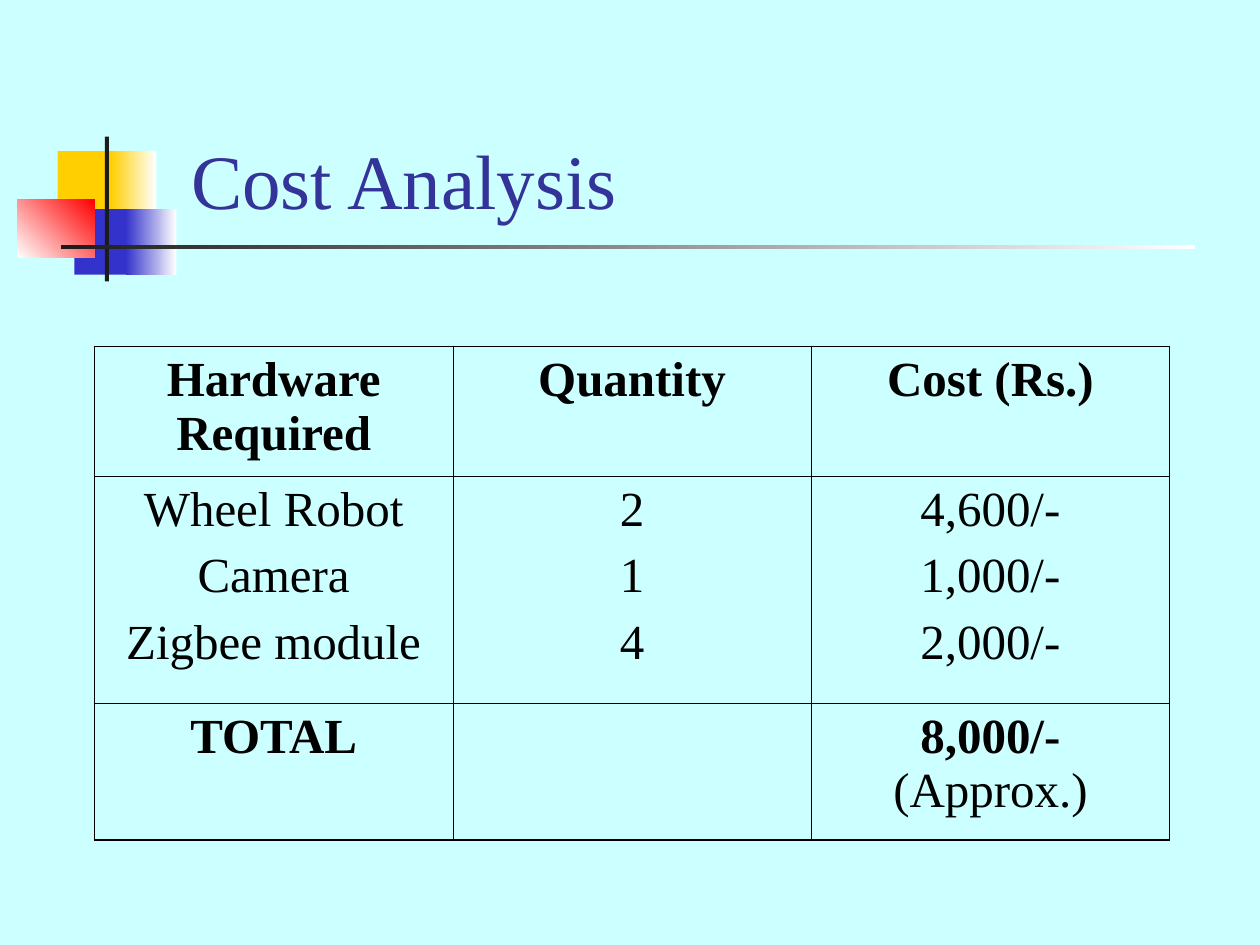
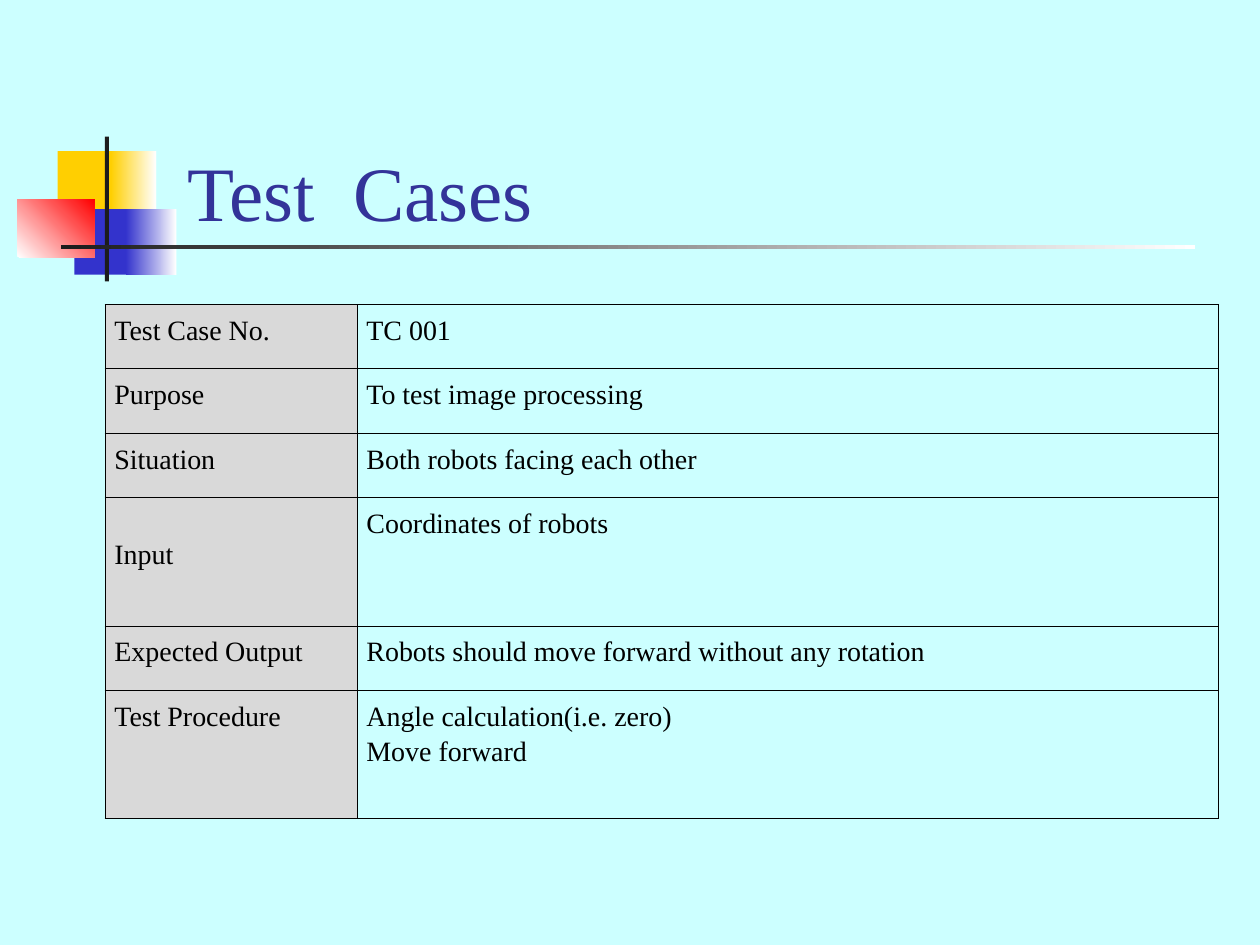
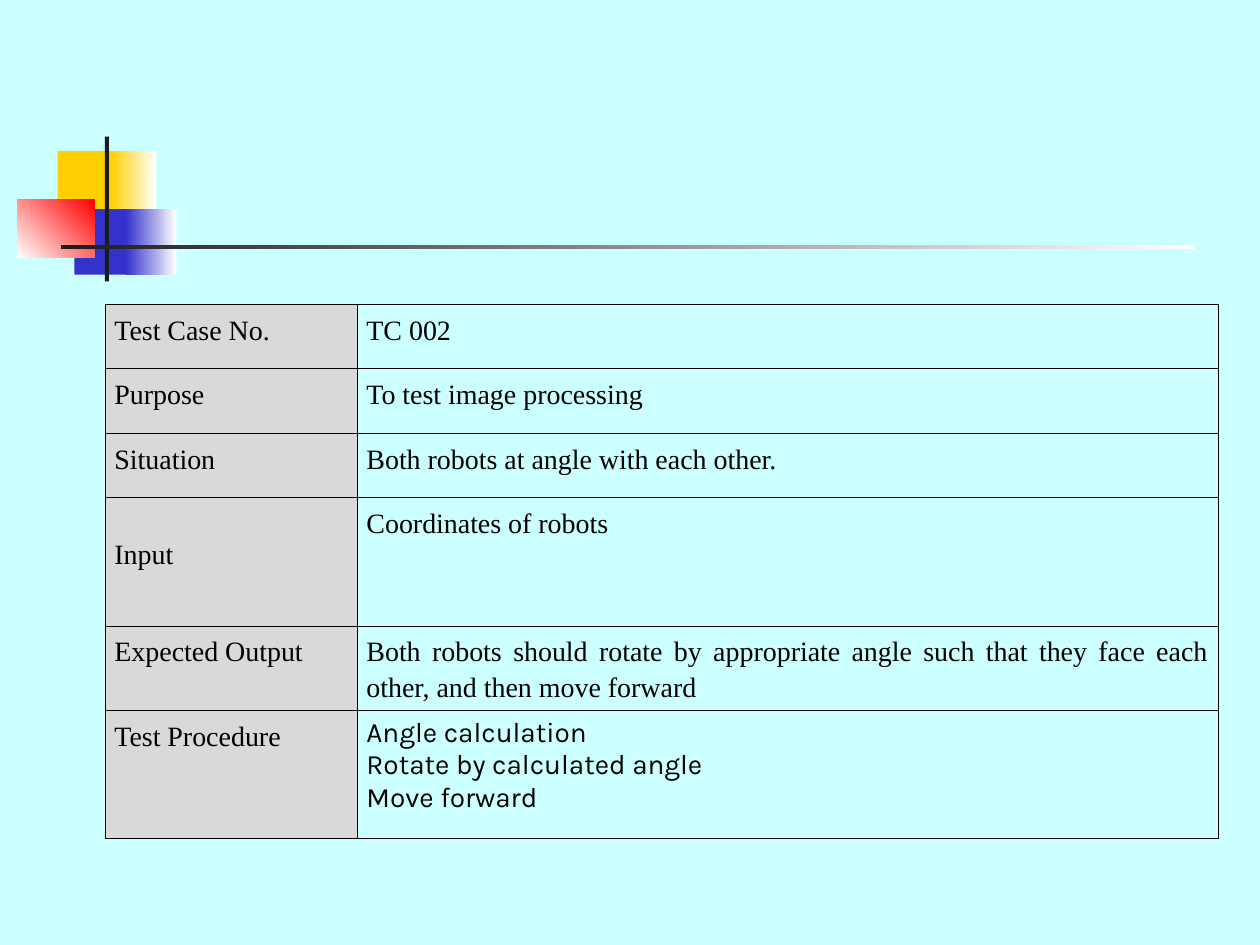
from dataclasses import dataclass

from lxml import etree
from pptx import Presentation
from pptx.dml.color import RGBColor
from pptx.enum.shapes import MSO_SHAPE
from pptx.enum.text import MSO_ANCHOR, MSO_AUTO_SIZE, PP_ALIGN
from pptx.oxml.ns import qn
from pptx.util import Pt

RECT = MSO_SHAPE.RECTANGLE
BOTTOM = MSO_ANCHOR.BOTTOM
NO_FIT = MSO_AUTO_SIZE.NONE
LEFT, CENTER, JUSTIFY = PP_ALIGN.LEFT, PP_ALIGN.CENTER, PP_ALIGN.JUSTIFY
TITLE_ONLY, BLANK = 5, 6


@dataclass(frozen=True)
class Theme:
    back: str = "CCFFFF"
    title: str = "333399"
    ink: str = "000000"
    dark: str = "1C1C1C"
    white: str = "FFFFFF"
    gold: str = "FFCF01"
    blue: str = "3333CC"
    red: str = "FF0000"
    label: str = "D9D9D9"
    serif: str = "Times New Roman"
    sans: str = "Karla"
    head: int = 44
    large: int = 28
    small: int = 16
    thin: float = 0.45
    thick: float = 1.08


THEME = Theme()


def rgb(code):
    return RGBColor.from_string(code)


def write(frame, lines, size=THEME.small, color=THEME.ink, font=THEME.serif,
          bold=False, align=LEFT, before=0, leading=None):
    """Fill a frame; a line is a string or a list of (text, bold) rows."""
    frame.word_wrap = True
    for i, line in enumerate(lines):
        para = frame.add_paragraph() if i else frame.paragraphs[0]
        para.alignment = align
        para.space_before = Pt(before if i else 0)
        if leading:
            para.line_spacing = leading
        parts = [(line, bold)] if isinstance(line, str) else line
        for j, (text, heavy) in enumerate(parts):
            if j:
                para.add_line_break()
            run = para.add_run()
            run.text = text
            run.font.size = Pt(size)
            run.font.name = font
            run.font.bold = heavy
            run.font.color.rgb = rgb(color)


def add_rect(slide, box, start, end=None, angle=0):
    """Draw a borderless bar, faded from start to end if end is given."""
    shape = slide.shapes.add_shape(RECT, *map(Pt, box))
    shape.shadow.inherit = False
    shape.line.fill.background()
    if end is None:
        shape.fill.solid()
        shape.fill.fore_color.rgb = rgb(start)
    else:
        shape.fill.gradient()
        shape.fill.gradient_angle = angle
        for stop, code, place in zip(shape.fill.gradient_stops, (start, end), (0, 1)):
            stop.color.rgb = rgb(code)
            stop.position = place
    return shape


def set_master(prs, slide):
    """Give the master its background and the emblem, drawn first on slide."""
    master = prs.slide_master
    master.background.fill.solid()
    master.background.fill.fore_color.rgb = rgb(THEME.back)
    bars = [
        ((33, 86.4, 34.6, 37.4), THEME.gold),
        ((63.4, 86.4, 25.9, 37.4), THEME.gold, THEME.white),
        ((42.5, 119.5, 33, 37.4), THEME.blue),
        ((72, 119.5, 28.8, 37.4), THEME.blue, THEME.white),
        ((10, 113.8, 44, 33.2), THEME.white, THEME.red, 45),
        ((59.9, 78, 2.4, 82.8), THEME.dark),
        ((34.8, 140, 648, 2.5), THEME.dark, THEME.white),
    ]
    for num, bar in enumerate(bars, 20):
        item = add_rect(slide, *bar).element
        item.nvSpPr.cNvPr.id = num
        master.shapes.element.append(item)


def set_title(slide, text, box):
    title = slide.shapes.title
    title.left, title.top, title.width, title.height = map(Pt, box)
    frame = title.text_frame
    frame.auto_size = NO_FIT
    frame.vertical_anchor = BOTTOM
    write(frame, [text], size=THEME.head, color=THEME.title)


def set_edge(cell, side, width):
    edge = etree.SubElement(cell._tc.get_or_add_tcPr(), qn("a:ln" + side), w=str(Pt(width)))
    fill = etree.SubElement(edge, qn("a:solidFill"))
    etree.SubElement(fill, qn("a:srgbClr"), val=THEME.ink)


def add_grid(slide, spot, cols, rows, rim, pad):
    """Add a plain ruled table with a rim of the given width."""
    size = (sum(cols), sum(rows))
    grid = slide.shapes.add_table(len(rows), len(cols), *map(Pt, spot + size)).table
    grid.first_row = grid.horz_banding = False
    for col, width in zip(grid.columns, cols):
        col.width = Pt(width)
    for row, height in zip(grid.rows, rows):
        row.height = Pt(height)
    for r in range(len(rows)):
        for c in range(len(cols)):
            cell = grid.cell(r, c)
            outer = {"L": c == 0, "R": c == len(cols) - 1,
                     "T": r == 0, "B": r == len(rows) - 1}
            for side, is_rim in outer.items():
                set_edge(cell, side, rim if is_rim else THEME.thin)
            cell.fill.background()
            cell.margin_left = cell.margin_right = Pt(pad)
            cell.margin_top = cell.margin_bottom = Pt(3.6)
    return grid


def add_costs(slide):
    cells = [
        [["Hardware Required"], ["Quantity"], ["Cost (Rs.)"]],
        [["Wheel Robot", "Camera", "Zigbee module"], ["2", "1", "4"],
         ["4,600/-", "1,000/-", "2,000/-"]],
        [["TOTAL"], [], [[("8,000/-", True), ("(Approx.)", False)]]],
    ]
    grid = add_grid(slide, (54, 198), (204.8,) * 3, (74.3, 129.7, 78), THEME.thick, 7.2)
    for r, row in enumerate(cells):
        for c, lines in enumerate(row):
            write(grid.cell(r, c).text_frame, lines, size=THEME.large,
                  bold=r != 1, align=CENTER, before=7)


def add_case(slide, values, steps, goal=36.75, **style):
    """Add a test case; goal is the height of the expected output row."""
    labels = ["Test Case No.", "Purpose", "Situation", "Input",
              "Expected Output", "Test Procedure"]
    base = 36.75
    rows = (base, base, base, 2 * base, goal, 2 * base)
    grid = add_grid(slide, (60, 174), (144, 492), rows, THEME.thin, 5.4)
    body = {"align": JUSTIFY, "leading": 1.15}
    for r, label in enumerate(labels):
        cell = grid.cell(r, 0)
        cell.fill.solid()
        cell.fill.fore_color.rgb = rgb(THEME.label)
        if label == "Input":
            cell.margin_top = Pt(21.4)
        write(cell.text_frame, [label], **body)
    for r, value in enumerate(values):
        write(grid.cell(r, 1).text_frame, [value], **body)
    write(grid.cell(len(values), 1).text_frame, steps, **(style or body))


def main():
    prs = Presentation()
    prs.slide_width, prs.slide_height = Pt(720), Pt(540)
    costs, first, second = (
        prs.slides.add_slide(prs.slide_layouts[kind])
        for kind in (TITLE_ONLY, TITLE_ONLY, BLANK))
    set_master(prs, costs)

    set_title(costs, "Cost Analysis", (102, 48, 498, 84))
    add_costs(costs)

    set_title(first, "Test  Cases", (100, 24, 613.5, 115))
    add_case(first,
             ["TC 001", "To test image processing", "Both robots facing each other",
              "Coordinates of robots", "Robots should move forward without any rotation"],
             ["Angle calculation(i.e. zero)", "Move forward"])

    add_case(second,
             ["TC 002", "To test image processing", "Both robots at angle with each other.",
              "Coordinates of robots",
              "Both robots should rotate by appropriate angle such that they face each other, "
              "and then move forward"],
             ["Angle calculation", "Rotate by calculated angle", "Move forward"],
             goal=44, font=THEME.sans)
    prs.save("out.pptx")


if __name__ == "__main__":
    main()
